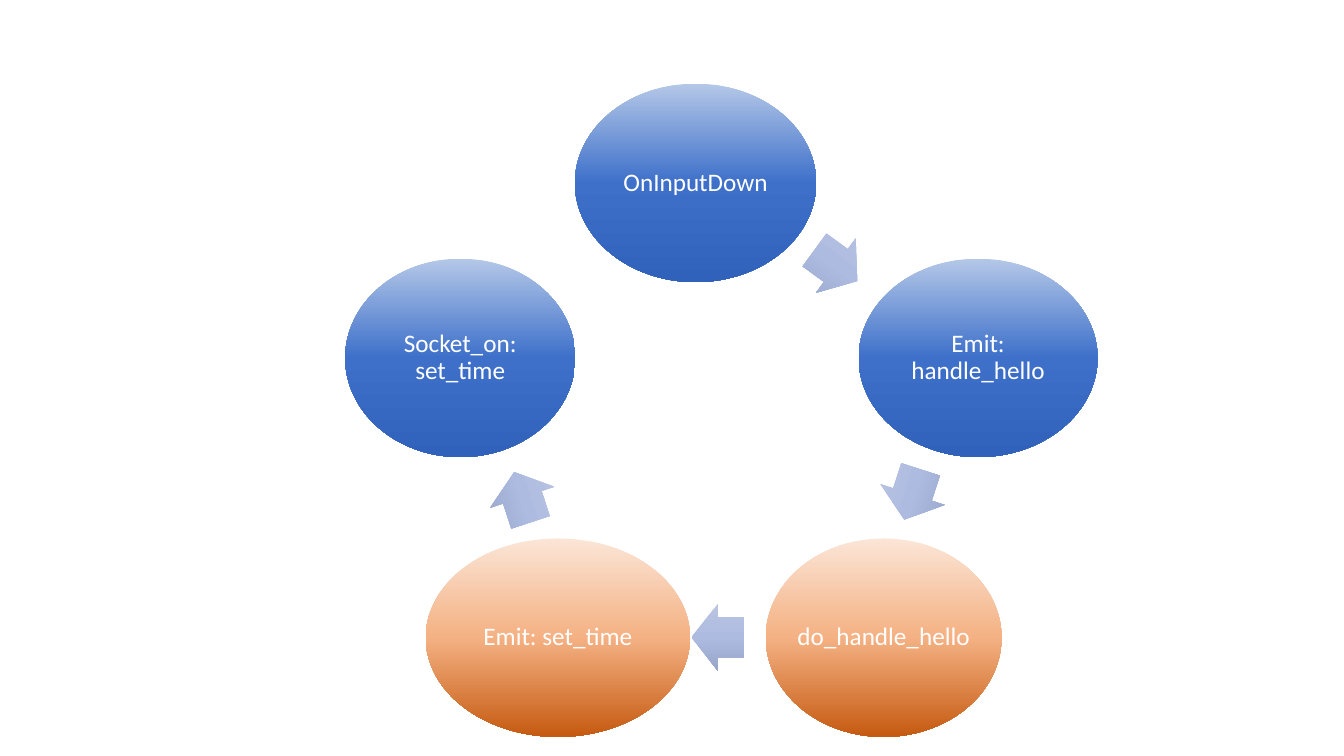
import copy

import pptx
import pptx.dml.color
import pptx.enum.shapes
import pptx.enum.text
import pptx.oxml.ns
import pptx.util

Cm = pptx.util.Cm
Pt = pptx.util.Pt
SHAPE = pptx.enum.shapes.MSO_SHAPE

COLORS = {
    "client": ("B4C7E7", "3E70CA", "3062BB"),
    "server": ("FBE5D6", "F4B183", "C55A11"),
    "arrow": ("BBC5E3", "AEBBE0", "97A5CA"),
    "text": "FFFFFF",
}
STEP_HEIGHT = 5.0
ARROW_WIDTH, ARROW_HEIGHT = 1.33, 1.7

# label, side, left, top, width (cm)
STEPS = [
    ("OnInputDown", "client", 14.49, 2.11, 6.08),
    ("Emit: handle_hello", "client", 21.64, 6.52, 6.02),
    ("do_handle_hello", "server", 19.3, 13.57, 5.94),
    ("Emit: set_time", "server", 10.73, 13.57, 6.66),
    ("Socket_on: set_time", "client", 8.7, 6.52, 5.8),
]
# preset, left, top (cm), rotation
ARROWS = [
    (SHAPE.RIGHT_ARROW, 20.4, 5.84, 36),
    (SHAPE.LEFT_ARROW, 22.33, 11.61, 288),
    (SHAPE.LEFT_ARROW, 17.43, 15.21, 0),
    (SHAPE.LEFT_ARROW, 12.5, 11.68, 72),
]


class CyclePage:
    """Draws the elements of the event cycle on one page."""

    font = "Calibri"
    size = 18

    def __init__(self, page):
        self.page = page

    def shape(self, preset, left, top, width, height, palette):
        """Add a borderless shape with a three-stop gradient from top to bottom."""
        box = self.page.shapes.add_shape(preset, Cm(left), Cm(top), Cm(width), Cm(height))
        box.shadow.inherit = False
        box.line.fill.background()
        box.fill.gradient()
        box.fill.gradient_angle = 270
        stops = next(box.element.iter(pptx.oxml.ns.qn("a:gsLst")))
        stops.append(copy.deepcopy(stops[-1]))
        for index, stop in enumerate(box.fill.gradient_stops):
            stop.position = index / 2
            stop.color.rgb = pptx.dml.color.RGBColor.from_string(COLORS[palette][index])
        return box

    def step(self, label, side, left, top, width):
        box = self.shape(SHAPE.OVAL, left, top, width, STEP_HEIGHT, side)
        frame = box.text_frame
        frame.margin_left = frame.margin_right = frame.margin_top = frame.margin_bottom = 0
        frame.vertical_anchor = pptx.enum.text.MSO_ANCHOR.MIDDLE
        frame.word_wrap = " " in label
        para = frame.paragraphs[0]
        para.alignment = pptx.enum.text.PP_ALIGN.CENTER
        para.line_spacing = 0.9
        span = para.add_run()
        span.text = label
        span.font.name = self.font
        span.font.size = Pt(self.size)
        span.font.color.rgb = pptx.dml.color.RGBColor.from_string(COLORS["text"])

    def arrow(self, preset, left, top, rotation):
        box = self.shape(preset, left, top, ARROW_WIDTH, ARROW_HEIGHT, "arrow")
        box.adjustments[0] = 0.6
        box.adjustments[1] = 0.5
        box.rotation = rotation


def main():
    deck = pptx.Presentation()
    deck.slide_width, deck.slide_height = Cm(33.87), Cm(19.05)
    cycle = CyclePage(deck.slides.add_slide(deck.slide_layouts[6]))
    for step in STEPS:
        cycle.step(*step)
    for arrow in ARROWS:
        cycle.arrow(*arrow)
    deck.save("out.pptx")


if __name__ == "__main__":
    main()
